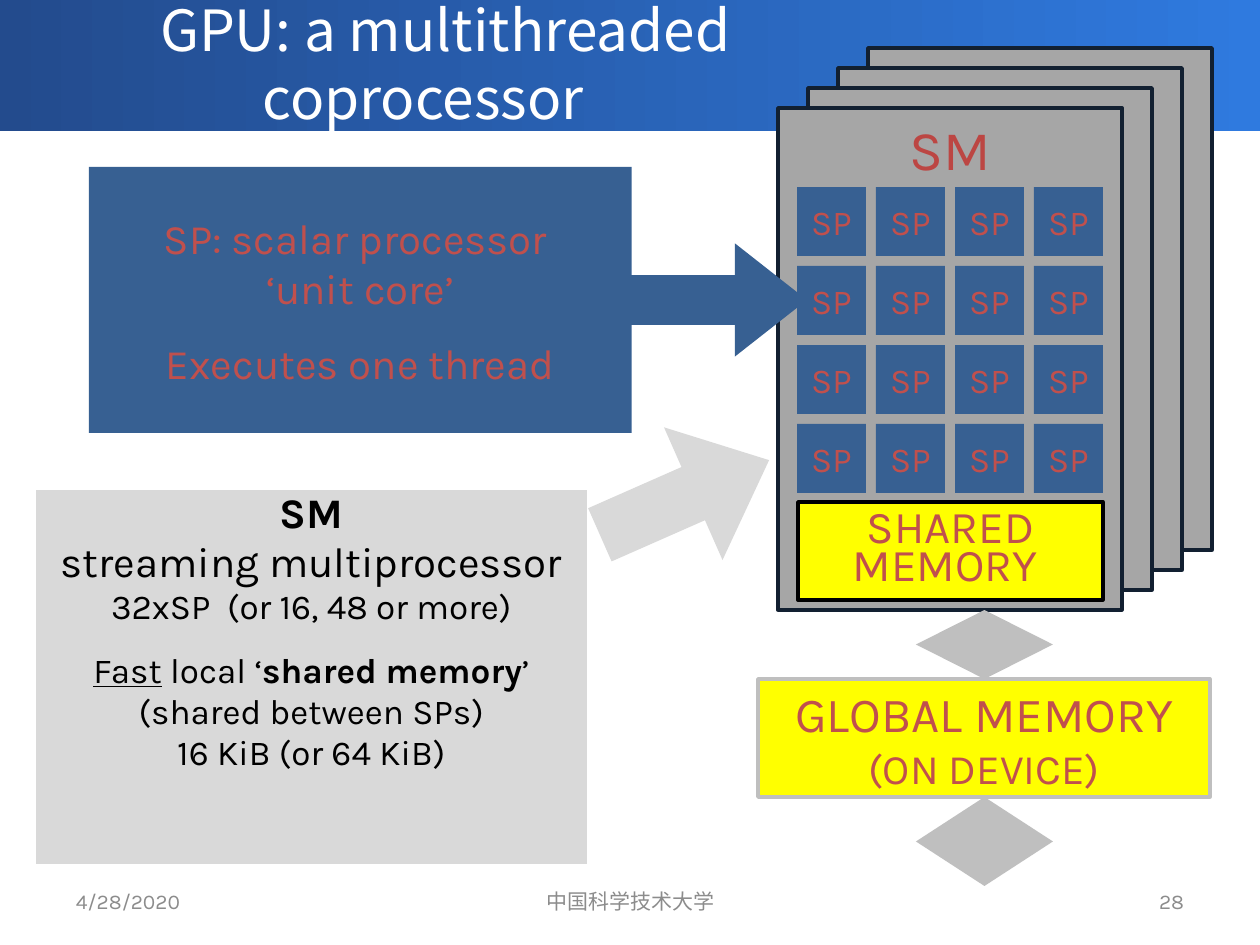
from dataclasses import dataclass

import pptx
import pptx.dml.color
import pptx.enum.shapes
import pptx.enum.text
import pptx.oxml
import pptx.oxml.ns
import pptx.util

RGB = pptx.dml.color.RGBColor
SHAPE = pptx.enum.shapes.MSO_SHAPE
ALIGN = pptx.enum.text.PP_ALIGN
ANCHOR = pptx.enum.text.MSO_ANCHOR

PX_PER_INCH = 126
KARLA = "Karla"
NOTO = "Noto Sans CJK SC"

WHITE = RGB(0xFF, 0xFF, 0xFF)
BLACK = RGB(0, 0, 0)
BANNER_DARK = RGB(0x23, 0x4B, 0x8D)
BANNER_LIGHT = RGB(0x2F, 0x7A, 0xDF)
FOOTER_GRAY = RGB(0x8C, 0x8C, 0x8C)
PALE_GRAY = RGB(0xD9, 0xD9, 0xD9)
ARROW_GRAY = RGB(0xBF, 0xBF, 0xBF)
CARD_GRAY = RGB(0xA6, 0xA6, 0xA6)
CARD_EDGE = RGB(0x12, 0x20, 0x31)
YELLOW = RGB(0xFF, 0xFF, 0)
BLUE = RGB(0x37, 0x60, 0x92)
RED = RGB(0xC0, 0x50, 0x4D)
SM_RED = RGB(0xBC, 0x46, 0x43)


@dataclass(frozen=True)
class Box:
    left: int
    top: int
    width: int
    height: int

    def emu(self) -> list[int]:
        return [px(n) for n in (self.left, self.top, self.width, self.height)]


@dataclass(frozen=True)
class Span:
    text: str
    bold: bool = False
    underline: bool = False


@dataclass(frozen=True)
class Line:
    spans: tuple[Span, ...]
    size: float
    color: RGB = RED
    font: str = KARLA
    align: ALIGN = ALIGN.CENTER
    spacing: float = 1.0
    before: float = 0


def px(length: int) -> int:
    return round(length * 914400 / PX_PER_INCH)


def line(text: str, size: float, **style) -> Line:
    return Line((Span(text),), size, **style)


def write(shape, lines: list[Line], anchor=ANCHOR.MIDDLE, side_inset: int = 13) -> None:
    frame = shape.text_frame
    frame.word_wrap = True
    frame.vertical_anchor = anchor
    frame.margin_left = frame.margin_right = px(side_inset)
    for index, item in enumerate(lines):
        paragraph = frame.paragraphs[0] if index == 0 else frame.add_paragraph()
        paragraph.alignment = item.align
        paragraph.line_spacing = item.spacing
        paragraph.space_before = pptx.util.Pt(item.before)
        if len(item.spans) == 1:
            paragraph.text = item.spans[0].text
            paragraph.font.bold = item.spans[0].bold
        else:
            for span in item.spans:
                run = paragraph.add_run()
                run.text = span.text
                run.font.bold = span.bold
                run.font.underline = span.underline
        paragraph.font.size = pptx.util.Pt(item.size)
        paragraph.font.name = item.font
        paragraph.font.color.rgb = item.color
        for run in paragraph.runs:
            east_asian = pptx.oxml.parse_xml(
                f'<a:ea {pptx.oxml.ns.nsdecls("a")} typeface="{NOTO}"/>')
            run.font.name = item.font
            run.font._element.append(east_asian)


def add_block(slide, box: Box, fill: RGB, edge: RGB | None = None,
              kind=SHAPE.RECTANGLE, adjust: tuple[float, ...] = ()):
    block = slide.shapes.add_shape(kind, *box.emu())
    block.shadow.inherit = False
    block.fill.solid()
    block.fill.fore_color.rgb = fill
    if edge is None:
        block.line.fill.background()
    else:
        block.line.color.rgb = edge
        block.line.width = pptx.util.Pt(2)
    for index, value in enumerate(adjust):
        block.adjustments[index] = value
    return block


def add_label(slide, box: Box, label: Line) -> None:
    write(slide.shapes.add_textbox(*box.emu()), [label])


def add_header_and_footer(slide) -> None:
    banner = add_block(slide, Box(0, -4, 1260, 135), BANNER_DARK)
    banner.fill.gradient()
    banner.fill.gradient_angle = 0
    for stop, color, position in zip(banner.fill.gradient_stops,
                                     (BANNER_DARK, BANNER_LIGHT), (0, 1)):
        stop.color.rgb = color
        stop.position = position
    add_label(slide, Box(126, 0, 651, 125),
              line("GPU: a multithreaded \vcoprocessor\t", 32.4, color=WHITE,
                   font=NOTO))
    for left, width, text, align in (
            (63, 294, "4/28/2020", ALIGN.LEFT),
            (431, 399, "中国科学技术大学", ALIGN.CENTER),
            (903, 294, "28", ALIGN.RIGHT)):
        add_label(slide, Box(left, 876, width, 50),
                  line(text, 12, color=FOOTER_GRAY, align=align))


def add_sm_description(slide) -> None:
    body = dict(color=BLACK, spacing=0.8)
    fast = (Span("Fast", underline=True), Span(" local ‘"),
            Span("shared memory", bold=True), Span("’"))
    write(add_block(slide, Box(36, 490, 551, 374), PALE_GRAY), [
        Line((Span("SM", bold=True),), 24, **body),
        line("streaming multiprocessor", 24, before=5.2, **body),
        line("32xSP  (or 16, 48 or more)", 20, before=4, **body),
        Line(fast, 20, before=17.4, **body),
        line("(shared between SPs)", 20, before=4, **body),
        line("16 KiB (or 64 KiB)", 20, before=4, **body),
    ], ANCHOR.TOP)


def add_multiprocessor(slide) -> None:
    """Stack of SM cards; the front one holds the SP grid and shared memory."""
    for depth in (3, 2, 1, 0):
        card = add_block(slide, Box(778 + 30 * depth, 108 - 20 * depth, 344, 502),
                         CARD_GRAY, CARD_EDGE)
    write(card, [line("SM", 32, color=SM_RED)], ANCHOR.TOP)
    for row in range(4):
        for column in range(4):
            core = Box(797 + 79 * column, 187 + 79 * row, 69, 69)
            write(add_block(slide, core, BLUE), [line("SP", 20)], side_inset=0)
    write(add_block(slide, Box(798, 502, 305, 98), YELLOW, BLACK),
          [line("SHARED MEMORY ", 26, spacing=0.7)])


def add_global_memory(slide) -> None:
    write(add_block(slide, Box(758, 679, 452, 118), YELLOW, ARROW_GRAY),
          [line("GLOBAL MEMORY", 28), line("(ON DEVICE)", 24)])
    width = 137
    for top, height in ((610, 69), (797, 89)):
        # The head length is a share of the arrow's width.
        add_block(slide, Box(916, top, width, height), ARROW_GRAY,
                  kind=SHAPE.UP_DOWN_ARROW, adjust=(0.46, 0.35 * height / width))


def add_pointers(slide) -> None:
    callout = add_block(slide, Box(89, 167, 718, 266), BLUE,
                        kind=SHAPE.RIGHT_ARROW_CALLOUT,
                        adjust=(0.187, 0.213, 0.271, 0.756))
    write(callout, [line("SP: scalar processor ", 24), line("‘unit core’", 24),
                    line("Executes one thread", 24, before=14)])
    arrow = add_block(slide, Box(592, 425, 185, 145), PALE_GRAY,
                      kind=SHAPE.RIGHT_ARROW, adjust=(0.401, 0.572))
    arrow.rotation = 336.2


def main() -> None:
    deck = pptx.Presentation()
    deck.slide_width, deck.slide_height = px(1260), px(945)
    slide = deck.slides.add_slide(deck.slide_layouts[6])
    add_header_and_footer(slide)
    add_sm_description(slide)
    add_multiprocessor(slide)
    add_global_memory(slide)
    add_pointers(slide)
    deck.save("out.pptx")


if __name__ == "__main__":
    main()
